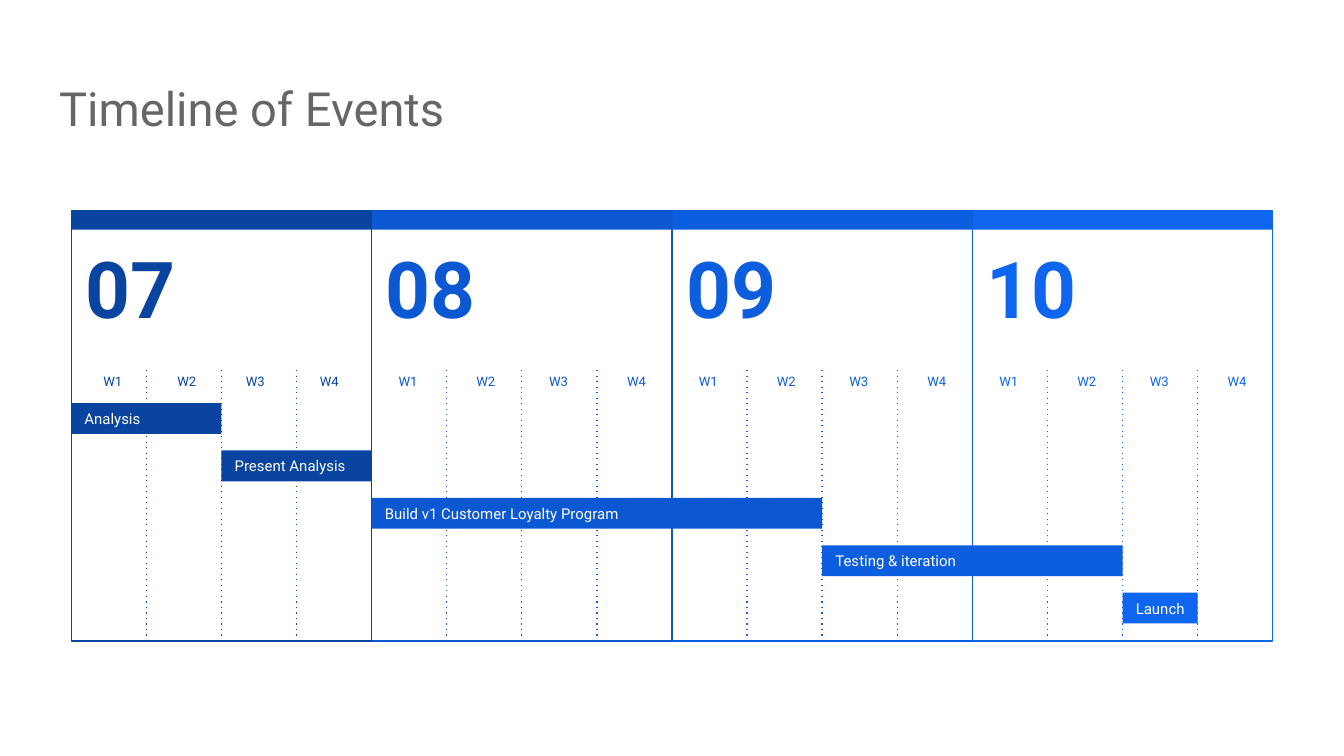
from lxml import etree
from pptx import Presentation
from pptx import util as u
from pptx.dml.color import RGBColor
from pptx.enum import dml, shapes, text
from pptx.oxml.ns import qn

TITLE = "Timeline of Events"
WEEKS = ["W1", "W2", "W3", "W4"]
EVEN = [0.27, 0.85, 1.39, 1.97]
MONTHS = [
    ("07", "0944A1", 0.36, [0.31, 0.86, 1.37, 1.92]),
    ("08", "0C58D3", 0.39, EVEN),
    ("09", "0D5DDF", 0.39, EVEN),
    ("10", "0E65F0", 0.39, EVEN),
]
TASKS = [
    ("Analysis", 0, 2, 0),
    ("Present Analysis", 2, 2, 0),
    ("Build v1 Customer Loyalty Program", 4, 6, 1),
    ("Testing & iteration", 10, 4, 2),
    ("Launch", 14, 1, 3),
]
THEME = {
    "font": "Roboto", "title": "666666", "bar": "FFFFFF",
    "title_pt": 25.2, "month_pt": 42, "week_pt": 7, "bar_pt": 8, "line_pt": 0.75,
}
SLIDE_W = 10
SLIDE_H = SLIDE_W * 9 / 16
LEFT, RIGHT, TOP, HEIGHT = 0.53, 9.47, 1.57, 3.2
MONTH_W = (RIGHT - LEFT) / len(MONTHS)
WEEK_W = MONTH_W / len(WEEKS)
HEAD_H, WEEK_TOP = 0.14, 2.74
BAR_TOP, LAST_BAR_TOP, BAR_H = 3.0, 4.41, 0.23
BAR_STEP = (LAST_BAR_TOP - BAR_TOP) / (len(TASKS) - 1)


def rgb(color):
    return RGBColor.from_string(color)


def box(*lengths):
    return [u.Inches(n) for n in lengths]


def write(sp, words, size, color, bold=False, align="LEFT", anchor="MIDDLE", right=0.1):
    tf = sp.text_frame
    pad = u.Inches(0.1)
    frame = {
        "word_wrap": True, "auto_size": text.MSO_AUTO_SIZE.NONE,
        "vertical_anchor": getattr(text.MSO_ANCHOR, anchor),
        "margin_left": pad, "margin_right": u.Inches(right),
        "margin_top": pad, "margin_bottom": pad,
    }
    for name, value in frame.items():
        setattr(tf, name, value)
    p = tf.paragraphs[0]
    p.alignment = getattr(text.PP_ALIGN, align)
    r = p.add_run()
    r.text = words
    for name, value in {"name": THEME["font"], "size": u.Pt(size), "bold": bold}.items():
        setattr(r.font, name, value)
    r.font.color.rgb = rgb(color)


def rect(parent, at, fill=None, line=None):
    sp = parent.add_shape(shapes.MSO_SHAPE.RECTANGLE, *box(*at))
    sp.shadow.inherit = False
    if fill:
        sp.fill.solid()
        sp.fill.fore_color.rgb = rgb(fill)
    else:
        sp.fill.background()
    if line:
        sp.line.color.rgb = rgb(line)
        sp.line.width = u.Pt(THEME["line_pt"])
    else:
        sp.line.fill.background()
    return sp


def label(parent, at, words, size, color, bold=False):
    write(parent.add_textbox(*box(*at)), words, size, color, bold, "CENTER")


def divider(parent, x, color):
    ln = parent.add_connector(
        shapes.MSO_CONNECTOR.STRAIGHT, *box(x, TOP + HEIGHT, x, WEEK_TOP))
    ln.line.color.rgb = rgb(color)
    ln.line.width = u.Pt(THEME["line_pt"])
    ln.line.dash_style = dml.MSO_LINE.ROUND_DOT
    spPr = ln._element.spPr
    spPr.find(".//" + qn("a:prstDash")).set("val", "dot")
    etree.SubElement(spPr, qn("a:effectLst"))


def add_month(s, i, number, color, label_w, centers):
    x = LEFT + i * MONTH_W
    group = s.shapes.add_group_shape().shapes
    rect(group, (x, TOP, MONTH_W, HEIGHT), line=color)
    rect(group, (x, TOP, MONTH_W, HEAD_H), fill=color)
    label(group, (x, 1.7, 0.88, 0.87), number, THEME["month_pt"], color, True)
    for week, center in zip(WEEKS, centers):
        at = (x + center - label_w / 2, WEEK_TOP, label_w, 0.2)
        label(group, at, week, THEME["week_pt"], color)
    for n in range(1, len(WEEKS)):
        divider(group, x + n * WEEK_W, color)


def main():
    prs = Presentation()
    prs.slide_width, prs.slide_height = box(SLIDE_W, SLIDE_H)
    s = prs.slides.add_slide(prs.slide_layouts[5])

    title = s.shapes.title
    for name, value in zip(("left", "top", "width", "height"), box(0.34, 0.49, 9.32, 0.63)):
        setattr(title, name, value)
    write(title, TITLE, THEME["title_pt"], THEME["title"], anchor="TOP")

    for i, month in reversed(list(enumerate(MONTHS))):
        add_month(s, i, *month)

    for row, (name, start, weeks, month) in enumerate(TASKS):
        at = (LEFT + start * WEEK_W, BAR_TOP + row * BAR_STEP, weeks * WEEK_W, BAR_H)
        bar = rect(s.shapes, at, fill=MONTHS[month][1])
        write(bar, name, THEME["bar_pt"], THEME["bar"], right=0)

    prs.save("out.pptx")


if __name__ == "__main__":
    main()
